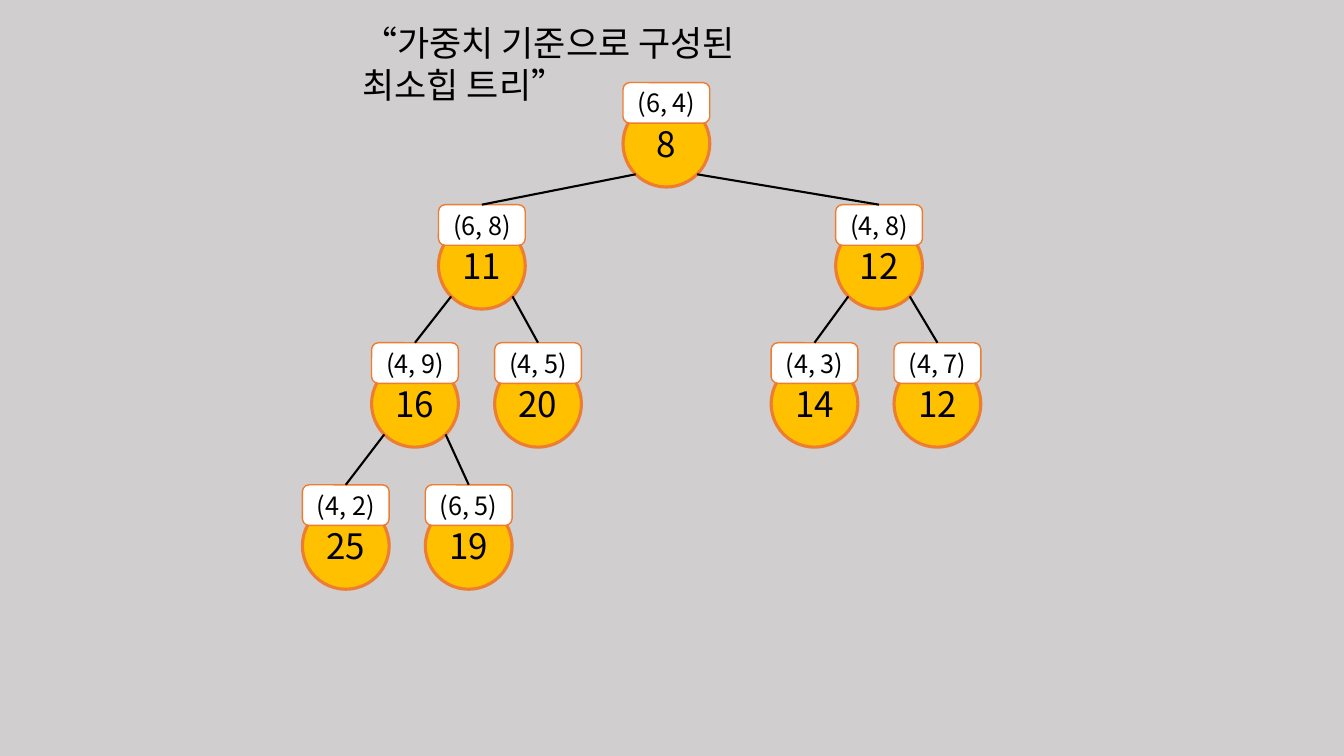
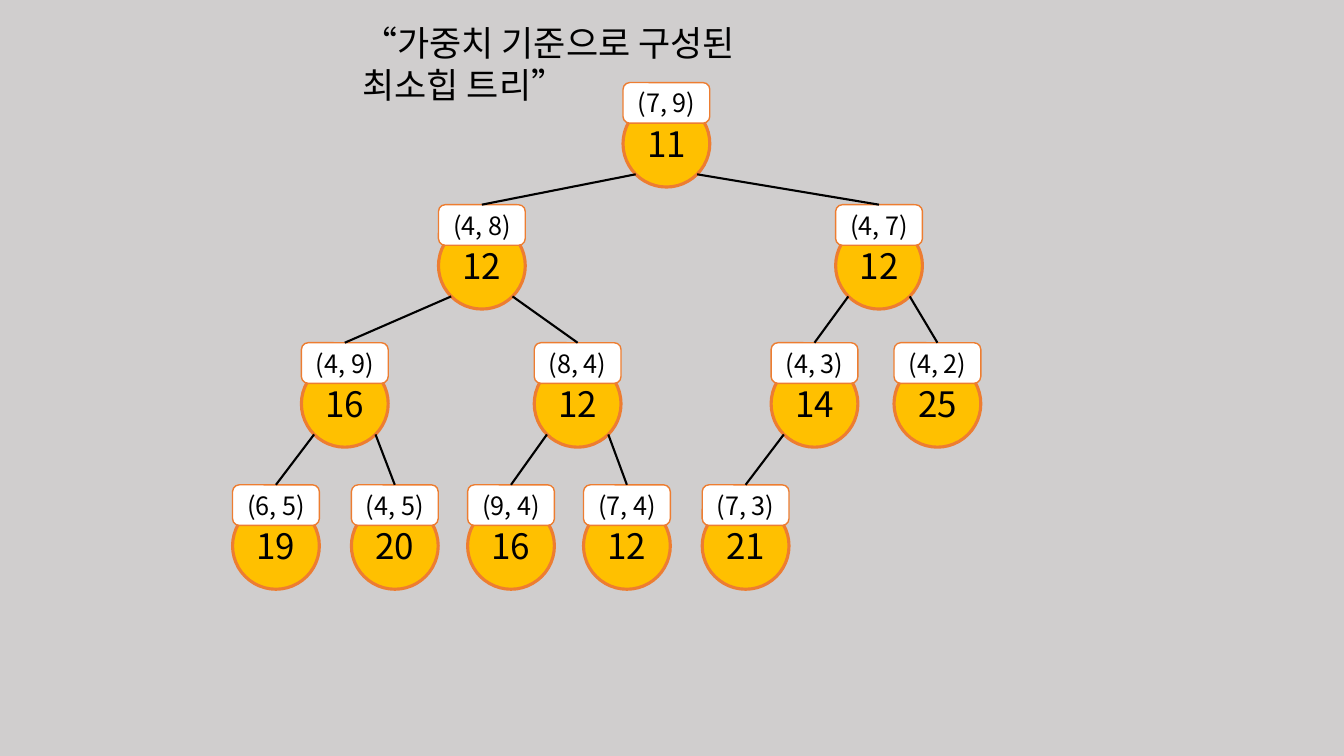
from math import sqrt
from lxml.etree import SubElement
from pptx import Presentation as Deck
from pptx.dml.color import RGBColor as Rgb
from pptx.enum.shapes import MSO_CONNECTOR as Link, MSO_SHAPE as Kind
from pptx.enum.text import MSO_ANCHOR as Anchor, PP_ALIGN as Align
from pptx.oxml.ns import qn
from pptx.util import Pt

HEX = {"back": "D0CECE", "node": "FFC000", "edge": "ED7D31",
       "tag": "FFFFFF", "ink": "000000"}
FONT = "Noto Sans CJK KR"
TITLE = "“가중치 기준으로 구성된 최소힙 트리”"
SIZE = 62
TAG = 29
DROP = 12.6
ROWS = [59, 146.2, 244.8, 346.3]

HEAPS = [
    {1: (476, "8", "(6, 4)"),
     2: (344.2, "11", "(6, 8)"), 3: (627.9, "12", "(4, 8)"),
     4: (296.4, "16", "(4, 9)"), 5: (384.3, "20", "(4, 5)"),
     6: (581.8, "14", "(4, 3)"), 7: (669.6, "12", "(4, 7)"),
     8: (247, "25", "(4, 2)"), 9: (334.8, "19", "(6, 5)")},
    {1: (476, "11", "(7, 9)"),
     2: (344.2, "12", "(4, 8)"), 3: (627.9, "12", "(4, 7)"),
     4: (246.3, "16", "(4, 9)"), 5: (412.6, "12", "(8, 4)"),
     6: (581.8, "14", "(4, 3)"), 7: (669.6, "25", "(4, 2)"),
     8: (197.1, "19", "(6, 5)"), 9: (282, "20", "(4, 5)"),
     10: (365, "16", "(9, 4)"), 11: (447.8, "12", "(7, 4)"),
     12: (532.6, "21", "(7, 3)")},
]


def color(name):
    return Rgb.from_string(HEX[name])


class Board:
    def __init__(self):
        self.deck = Deck()
        self.deck.slide_width, self.deck.slide_height = Pt(960), Pt(540)

    def start(self):
        self.slide = self.deck.slides.add_slide(self.deck.slide_layouts[6])
        fill = self.slide.background.fill
        fill.solid()
        fill.fore_color.rgb = color("back")

    def label(self, frame, text, size, align=Align.LEFT):
        para = frame.paragraphs[0]
        para.text = text
        para.alignment = align
        font = para.font
        font.size, font.name = Pt(size), FONT
        font.color.rgb = color("ink")
        base = para._p.pPr.find(qn("a:defRPr"))
        SubElement(base, qn("a:ea"), typeface=FONT)
        return para

    def title(self, text):
        box = self.slide.shapes.add_textbox(Pt(252), Pt(12.2), Pt(343), Pt(67))
        box.text_frame.word_wrap = True
        self.label(box.text_frame, text, 25).line_spacing = Pt(30)

    def shape(self, kind, mid, top, high, fill, edge, text, size):
        item = self.slide.shapes.add_shape(
            kind, Pt(mid - SIZE / 2), Pt(top), Pt(SIZE), Pt(high))
        item.shadow.inherit = False
        item.fill.solid()
        item.fill.fore_color.rgb = color(fill)
        item.line.color.rgb = color("edge")
        item.line.width = Pt(edge)
        item.text_frame.vertical_anchor = Anchor.MIDDLE
        self.label(item.text_frame, text, size, Align.CENTER)
        return item

    def node(self, mid, top, key, pair):
        self.shape(Kind.OVAL, mid, top + DROP, SIZE, "node", 2.25, key, 25)
        return self.shape(Kind.ROUNDED_RECTANGLE, mid, top, TAG,
                          "tag", 1, pair, 18)

    def link(self, mid, top, side, tag):
        reach = SIZE / 2 / sqrt(2)
        line = self.slide.shapes.add_connector(
            Link.STRAIGHT, Pt(mid + side * reach),
            Pt(top + DROP + SIZE / 2 + reach), tag.left, tag.top)
        line.end_connect(tag, 0)
        line.line.color.rgb = color("ink")
        line.line.width = Pt(1.5)
        SubElement(line._element.spPr, qn("a:effectLst"))

    def heap(self, nodes):
        tops = {spot: ROWS[spot.bit_length() - 1] for spot in nodes}
        tags = {spot: self.node(mid, tops[spot], key, pair)
                for spot, (mid, key, pair) in nodes.items()}
        for spot in list(nodes)[1:]:
            up = spot // 2
            side = 1 if spot % 2 else -1
            self.link(nodes[up][0], tops[up], side, tags[spot])


def main():
    board = Board()
    for nodes in HEAPS:
        board.start()
        board.title(TITLE)
        board.heap(nodes)
    board.deck.save("out.pptx")


if __name__ == "__main__":
    main()
